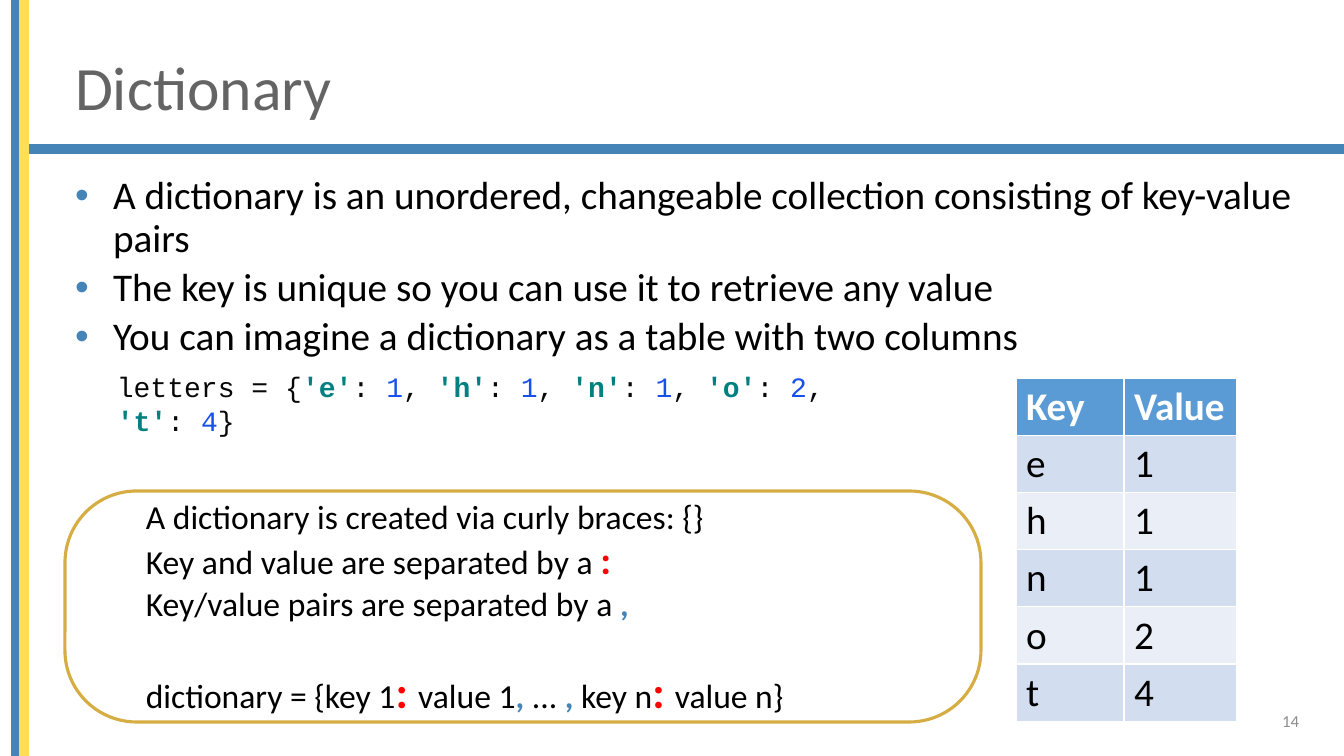
from dataclasses import dataclass

from lxml.etree import SubElement
from pptx import Presentation
from pptx.dml.color import RGBColor as RGB
from pptx.enum.shapes import MSO_SHAPE as Shape
from pptx.enum.text import MSO_ANCHOR as Anchor, MSO_AUTO_SIZE as AutoSize, PP_ALIGN as Align
from pptx.oxml.ns import qn
from pptx.util import Emu, Pt


@dataclass(frozen=True)
class Theme:
    sans: str = "Calibri"
    mono: str = "Courier New"
    blue: str = "4584B6"
    yellow: str = "FFDE57"
    gold: str = "D5AD42"
    red: str = "FF0000"
    black: str = "000000"
    white: str = "FFFFFF"
    title_gray: str = "646464"
    number_gray: str = "8C8C8C"
    header: str = "5B9BD5"
    bands: tuple = ("D2DEEF", "EAEFF7")
    code: str = "080808"
    code_string: str = "008080"
    code_number: str = "1750EB"
    title_size: int = 44
    colon_size: int = 32
    body_size: int = 28
    note_size: int = 24
    code_size: int = 20
    number_size: int = 12


theme = Theme()


def px(length):
    return Emu(round(length * 914400 / 100.8))


def write(paragraph, pieces, size, name=theme.sans):
    for text, color, bold, *own_size in pieces:
        run = paragraph.add_run()
        run.text = text
        run.font.name = name
        run.font.size = Pt(own_size[0] if own_size else size)
        run.font.bold = bold
        run.font.color.rgb = RGB.from_string(color)


presentation = Presentation()
presentation.slide_width = px(1344)
presentation.slide_height = px(756)
slide = presentation.slides.add_slide(presentation.slide_layouts[1])

bars = [
    (19, 145, 1325, 8, theme.blue),
    (12, 0, 8, 756, theme.blue),
    (20, 0, 8, 756, theme.yellow),
]
for left, top, width, height, color in bars:
    bar = slide.shapes.add_shape(Shape.RECTANGLE, px(left), px(top), px(width), px(height))
    bar.shadow.inherit = False
    bar.fill.solid()
    bar.fill.fore_color.rgb = RGB.from_string(color)
    bar.line.color.rgb = RGB.from_string(color)
    bar.line.width = Pt(1)

title = slide.shapes.title
title.left, title.top, title.width, title.height = px(65), px(40), px(1187), px(102)
title.text_frame.vertical_anchor = Anchor.MIDDLE
title.text_frame.auto_size = AutoSize.NONE
paragraph = title.text_frame.paragraphs[0]
paragraph.alignment = Align.LEFT
paragraph.line_spacing = 0.9
write(paragraph, [("Dictionary", theme.title_gray, False)], theme.title_size)

body = slide.placeholders[1]
body.left, body.top, body.width, body.height = px(65), px(171), px(1270), px(510)
body.text_frame.auto_size = AutoSize.NONE
body.text_frame.text = "\n".join([
    "A dictionary is an unordered, changeable collection consisting of key-value pairs",
    "The key is unique so you can use it to retrieve any value",
    "You can imagine a dictionary as a table with two columns",
])
for index, paragraph in enumerate(body.text_frame.paragraphs):
    properties = paragraph._p.get_or_add_pPr()
    properties.set("marL", str(px(38)))
    properties.set("indent", str(px(-38)))
    bullet_color = SubElement(properties, qn("a:buClr"))
    SubElement(bullet_color, qn("a:srgbClr"), val=theme.blue)
    SubElement(properties, qn("a:buFont"), typeface="Arial")
    SubElement(properties, qn("a:buChar"), char="•")
    paragraph.line_spacing = 0.9
    paragraph.space_before = Pt(5 if index else 0)
    font = paragraph.runs[0].font
    font.name = theme.sans
    font.size = Pt(theme.body_size)
    font.color.rgb = RGB.from_string(theme.black)

number_box = slide.shapes.add_textbox(px(1007), px(701), px(302), px(40))
number_box.text_frame.word_wrap = True
number_box.text_frame.vertical_anchor = Anchor.MIDDLE
paragraph = number_box.text_frame.paragraphs[0]
paragraph.alignment = Align.RIGHT
write(paragraph, [("14", theme.number_gray, False)], theme.number_size)

syntax_box = slide.shapes.add_shape(Shape.ROUNDED_RECTANGLE, px(65), px(491), px(916), px(231))
syntax_box.adjustments[0] = 0.31
syntax_box.shadow.inherit = False
syntax_box.fill.solid()
syntax_box.fill.fore_color.rgb = RGB.from_string(theme.white)
syntax_box.line.color.rgb = RGB.from_string(theme.gold)
syntax_box.line.width = Pt(2.25)
syntax_box.text_frame.word_wrap = True
syntax_box.text_frame.vertical_anchor = Anchor.MIDDLE

comma = (",", theme.blue, True)
colon = (": ", theme.red, True, theme.colon_size)
syntax_lines = [
    [("A dictionary is created via curly braces: {}", theme.black, False)],
    [("Key and value are separated by a ", theme.black, False),
     (":", theme.red, True, theme.body_size)],
    [("Key/value pairs are separated by a ", theme.black, False), comma],
    [("dictionary = {key 1", theme.black, False), colon,
     ("value 1", theme.black, False), comma,
     (" ... ", theme.black, False), comma,
     (" key n", theme.black, False), colon,
     ("value n}", theme.black, False)],
]
for index, pieces in enumerate(syntax_lines):
    frame = syntax_box.text_frame
    paragraph = frame.add_paragraph() if index else frame.paragraphs[0]
    paragraph.alignment = Align.LEFT
    paragraph._p.get_or_add_pPr().set("marL", str(px(50)))
    write(paragraph, pieces, theme.note_size)
paragraph.space_before = Pt(29)

letters = {"e": 1, "h": 1, "n": 1, "o": 2, "t": 4}

rows = [("Key", "Value"), *letters.items()]
table = slide.shapes.add_table(len(rows), 2, px(1016), px(378), px(221), px(342)).table
for column, width in zip(table.columns, (108, 113)):
    column.width = px(width)
for row_index, values in enumerate(rows):
    table.rows[row_index].height = px(57)
    is_header = row_index == 0
    fill = theme.header if is_header else theme.bands[(row_index - 1) % 2]
    color = theme.white if is_header else theme.black
    for column_index, value in enumerate(values):
        cell = table.cell(row_index, column_index)
        cell.fill.solid()
        cell.fill.fore_color.rgb = RGB.from_string(fill)
        write(cell.text_frame.paragraphs[0], [(str(value), color, is_header)], theme.body_size)

code_box = slide.shapes.add_textbox(px(107), px(381), px(798), px(44))
code_box.text_frame.word_wrap = True
code_box.text_frame.vertical_anchor = Anchor.MIDDLE
code = [("letters = {", theme.code, False)]
for index, (key, value) in enumerate(letters.items()):
    if index:
        code.append((", ", theme.code, False))
    code += [
        (f"'{key}'", theme.code_string, True),
        (": ", theme.code, False),
        (str(value), theme.code_number, False),
    ]
code.append(("}", theme.code, False))
write(code_box.text_frame.paragraphs[0], code, theme.code_size, theme.mono)

presentation.save("out.pptx")
